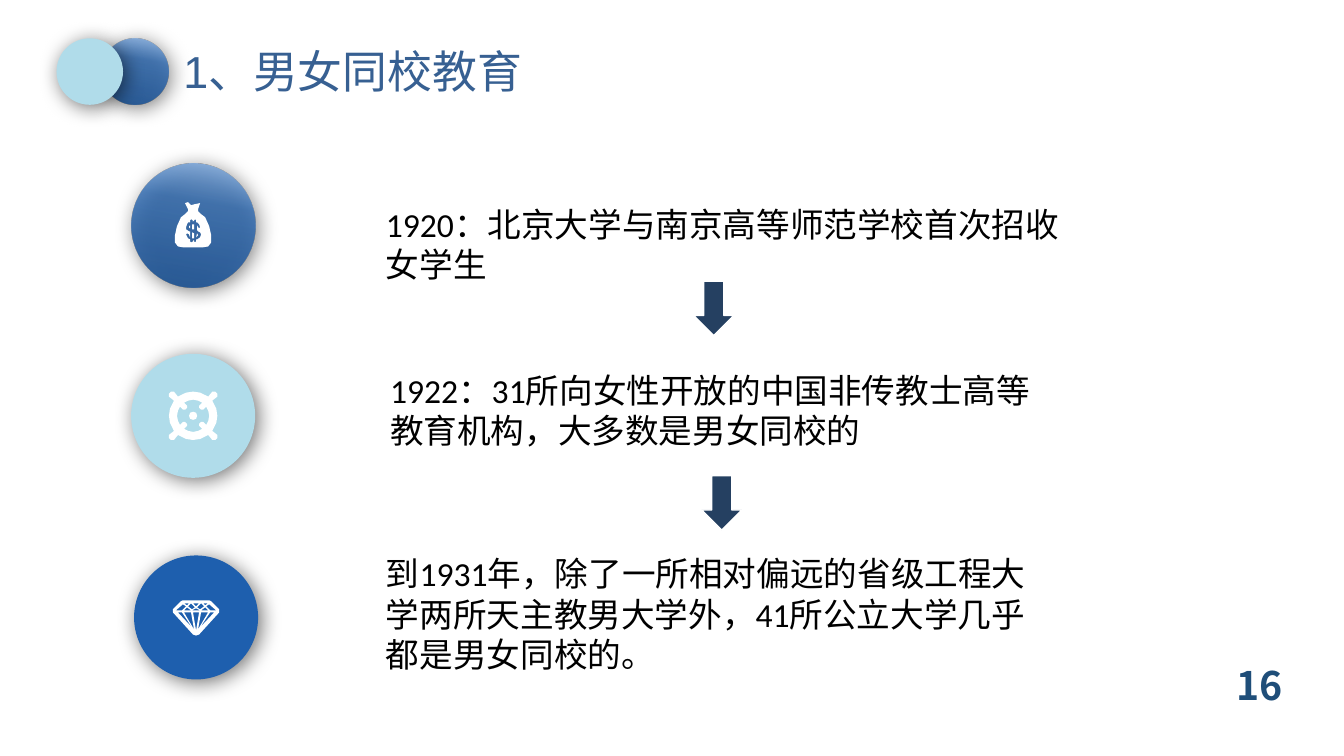
from pptx import Presentation
from pptx.dml.color import RGBColor
from pptx.enum.shapes import MSO_SHAPE
from pptx.enum.text import MSO_AUTO_SIZE, PP_ALIGN
from pptx.oxml import parse_xml
from pptx.oxml.ns import nsdecls
from pptx.util import Inches, Pt

OVAL, DOWN = MSO_SHAPE.OVAL, MSO_SHAPE.DOWN_ARROW
LEFT, MID = PP_ALIGN.LEFT, PP_ALIGN.CENTER
GROW = MSO_AUTO_SIZE.SHAPE_TO_FIT_TEXT

WHITE = RGBColor(0xFF, 0xFF, 0xFF)
BLACK = RGBColor(0x00, 0x00, 0x00)
BLUE = RGBColor(0x1E, 0x5F, 0xAE)
PALE = RGBColor(0xB0, 0xDC, 0xEA)
NAVY = RGBColor(0x25, 0x40, 0x61)
STEEL = RGBColor(0x37, 0x60, 0x92)
DEEP = RGBColor(0x1F, 0x4E, 0x79)
# Gradient stops: place, colour, opacity (percent)
SHADE = [(0, RGBColor(0x8F, 0xB4, 0xE1), 90),
         (33, RGBColor(0x30, 0x6B, 0xB2), 81),
         (100, RGBColor(0x27, 0x57, 0x91), 100)]

WIDE, HIGH = Inches(13.33), Inches(7.5)
DOT = Inches(0.01)  # unit of the icon outlines

TITLE = dict(size=Pt(32), name="Arial", color=STEEL)
BODY = dict(size=Pt(24), name="Calibri", color=BLACK)
NUMBER = dict(size=Pt(28), name="Noto Sans CJK SC", color=DEEP, bold=True)

# Text, then left, top, width, height in percent of the slide
STEPS = [
    ("1920：北京大学与南京高等师范学校首次招收女学生",
     (27.98, 26.27, 53.34, 12.13)),
    ("1922：31所向女性开放的中国非传教士高等教育机构，大多数是男女同校的",
     (28.28, 48.27, 51.01, 12.13)),
    ("到1931年，除了一所相对偏远的省级工程大学两所天主教男大学外，"
     "41所公立大学几乎都是男女同校的。",
     (27.98, 72.53, 50.04, 17.47)),
]
ARROWS = [(51.61, 37.2), (52.21, 62.93)]


def share(x, y):
    return round(WIDE * x / 100), round(HIGH * y / 100)


# Icon outlines, measured from the middle of their disc
def flip(pts):
    return [(-x, y) for x, y in pts]


def spin(part):
    """Repeat a quarter outline four times round the middle."""
    ring = []
    for _ in range(4):
        ring += part
        part = [(-y, x) for x, y in part]
    return ring


def lower(loops, step):
    return [[(x, y + step) for x, y in pts] for pts in loops]


def purse():
    side = [(8, 13), (12, 16), (16, 25), (18, 34), (18, 41), (15, 45), (9, 46)]
    neck = [(-5, 10), (-5, 8), (-8, 2), (-5, 1), (-2, 4), (2, 3), (7, 2),
            (5, 8), (5, 10)]
    sign = [(8, 33), (7, 36), (4, 38), (3, 38), (3, 40), (2, 41), (1, 40),
            (1, 39), (0, 39), (0, 40), (-2, 41), (-3, 40), (-3, 38), (-5, 37),
            (-7, 33), (-6, 32), (-4, 33), (-3, 36), (-3, 30), (-4, 30),
            (-7, 28), (-7, 26), (-6, 23), (-5, 21), (-3, 21), (-3, 19),
            (-2, 18), (0, 19), (-1, 20), (1, 20), (1, 19), (2, 18), (3, 19),
            (3, 21), (4, 21), (6, 23), (7, 26), (6, 27), (5, 26), (4, 24),
            (4, 29), (5, 30), (7, 31)]
    gaps = [[(-1, 31), (-1, 37), (1, 37), (1, 32)],
            [(-4, 25), (-4, 26), (-3, 27), (-3, 24)],
            [(-1, 23), (-1, 28), (1, 28), (1, 23)],
            [(4, 32), (3, 36), (5, 34)]]
    return lower([neck + side + flip(side)[::-1], sign, *gaps], -24)


def wheel():
    rim = [(0, -24), (7, -23), (15, -19), (19, -24), (22, -24), (24, -22),
           (24, -19), (19, -15), (23, -7)]
    hole = [(0, -16), (5, -15), (9, -13), (6, -10), (6, -8), (8, -6),
            (10, -6), (13, -9), (15, -5)]
    hub = [(0, -4), (3, -3)]
    return [spin(part) for part in (rim, hole, hub)]


def gem():
    side = [(13, 0), (15, 1), (23, 9), (23, 12), (3, 34), (0, 35)]
    cuts = [[(13, 4), (20, 10), (14, 10), (10, 6)],
            [(18, 12), (4, 27), (14, 12)],
            [(12, 12), (2, 29), (5, 12)],
            [(9, 7), (12, 10), (5, 10)],
            [(7, 3), (12, 3), (9, 5)],
            [(4, 9), (8, 6), (5, 3), (1, 7)]]
    core = [[(0, 6), (-3, 3), (3, 3)],
            [(0, 8), (4, 10), (-4, 10)],
            [(0, 30), (3, 12), (-3, 12)]]
    edge = side + flip(side)[::-1]
    return lower([edge, *cuts, *map(flip, cuts), *core], -17)


# Element kinds
def paint(shape, fill, line=None):
    shape.shadow.inherit = False
    shape.fill.solid()
    shape.fill.fore_color.rgb = fill
    if line is None:
        shape.line.fill.background()
    else:
        shape.line.color.rgb = line
        shape.line.width = Pt(1)


def blend(shape):
    stops = "".join(
        f'<a:gs pos="{pos * 1000}"><a:srgbClr val="{tone}">'
        f'<a:alpha val="{part * 1000}"/></a:srgbClr></a:gs>'
        for pos, tone, part in SHADE)
    grad = parse_xml(
        f'<a:gradFill {nsdecls("a")} rotWithShape="1"><a:gsLst>{stops}</a:gsLst>'
        f'<a:lin ang="{100 * 60000}" scaled="0"/></a:gradFill>')
    props = shape.fill._xPr
    props.replace(props.solidFill, grad)


def shade(shape):
    props = shape.fill._xPr
    props.effectLst.append(parse_xml(
        f'<a:outerShdw {nsdecls("a")} blurRad="{Pt(15)}" dist="{Pt(3)}" '
        f'dir="{45 * 60000}" algn="ctr" rotWithShape="0"><a:srgbClr val="{BLACK}">'
        f'<a:alpha val="55000"/></a:srgbClr></a:outerShdw>'))


def disc(shapes, x, y, size, fill):
    """Round disc by its middle; without a fill it takes the gradient."""
    mx, my = share(x, y)
    side = round(WIDE * size / 100)
    oval = shapes.add_shape(OVAL, mx - side // 2, my - side // 2, side, side)
    paint(oval, fill or BLUE)
    if fill is None:
        blend(oval)
    shade(oval)


def icon(shapes, x, y, loops):
    pen = shapes.build_freeform(*loops[0][0], scale=DOT)
    pen.add_line_segments(loops[0][1:], close=True)
    for pts in loops[1:]:
        pen.move_to(*pts[0])
        pen.add_line_segments(pts[1:], close=True)
    paint(pen.convert_to_shape(*share(x, y)), WHITE)


def medal(shapes, x, y, fill, loops):
    group = shapes.add_group_shape().shapes
    disc(group, x, y, 9.23, fill)
    icon(group, x, y, loops)


def label(shapes, text, area, style, align=LEFT):
    box = shapes.add_textbox(*share(*area[:2]), *share(*area[2:]))
    frame = box.text_frame
    frame.word_wrap = True
    frame.auto_size = GROW
    par = frame.paragraphs[0]
    par.alignment = align
    run = par.add_run()
    run.text = text
    for key, val in style.items():
        if key == "color":
            run.font.color.rgb = val
        else:
            setattr(run.font, key, val)


def main():
    deck = Presentation()
    deck.slide_width, deck.slide_height = WIDE, HIGH
    shapes = deck.slides.add_slide(deck.slide_layouts[6]).shapes

    # Medals
    medal(shapes, 14.59, 81.67, BLUE, gem())
    medal(shapes, 14.37, 29.8, None, purse())
    medal(shapes, 14.37, 55, PALE, wheel())

    # Heading
    head = shapes.add_group_shape().shapes
    label(head, "1、男女同校教育", (12, 5.07, 28.51, 8.53), TITLE, MID)
    disc(head, 10.05, 9.47, 4.95, None)
    disc(head, 6.68, 9.47, 4.95, PALE)

    # Steps and the arrows between them
    for text, area in STEPS:
        label(shapes, text, area, BODY)
    for spot in ARROWS:
        arrow = shapes.add_shape(DOWN, *share(*spot), *share(3, 7.2))
        paint(arrow, NAVY, WHITE)

    # Page number
    label(shapes, "16", (87.73, 86.8, 12, 7.6), NUMBER, MID)
    deck.save("out.pptx")


if __name__ == "__main__":
    main()
